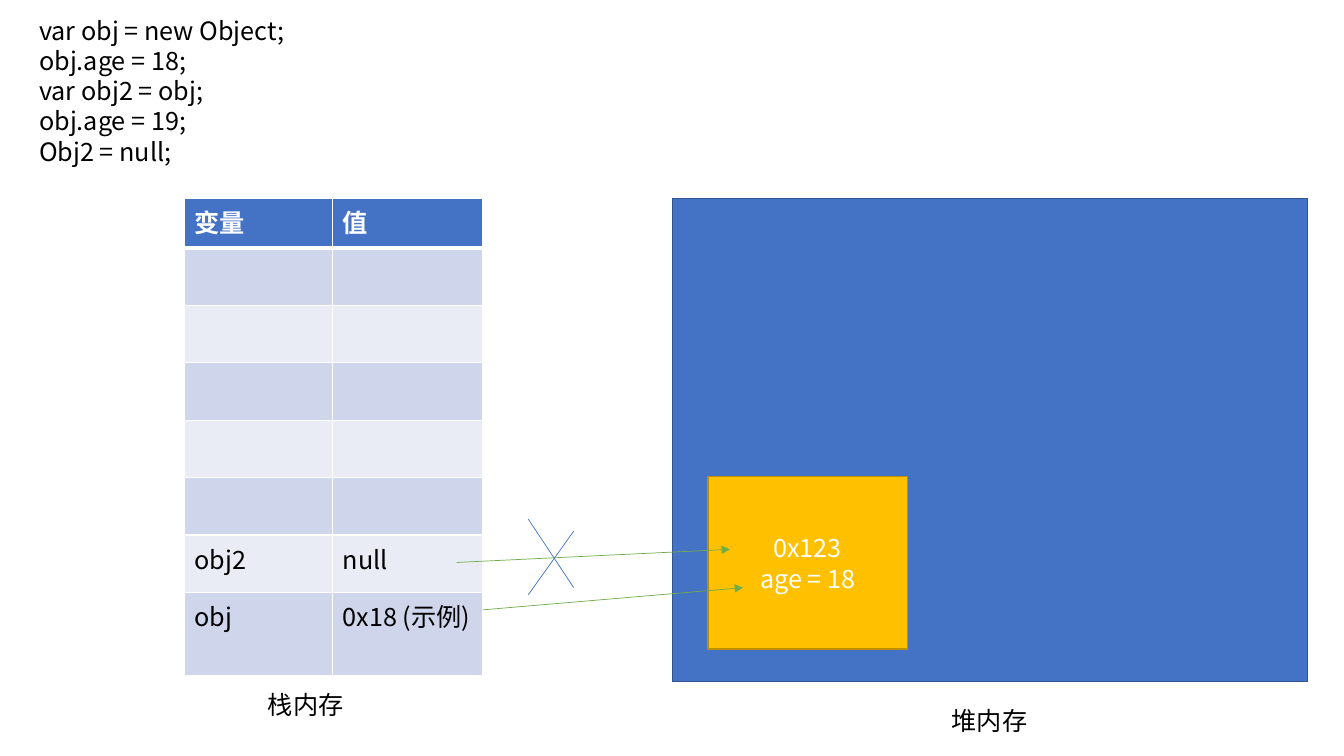
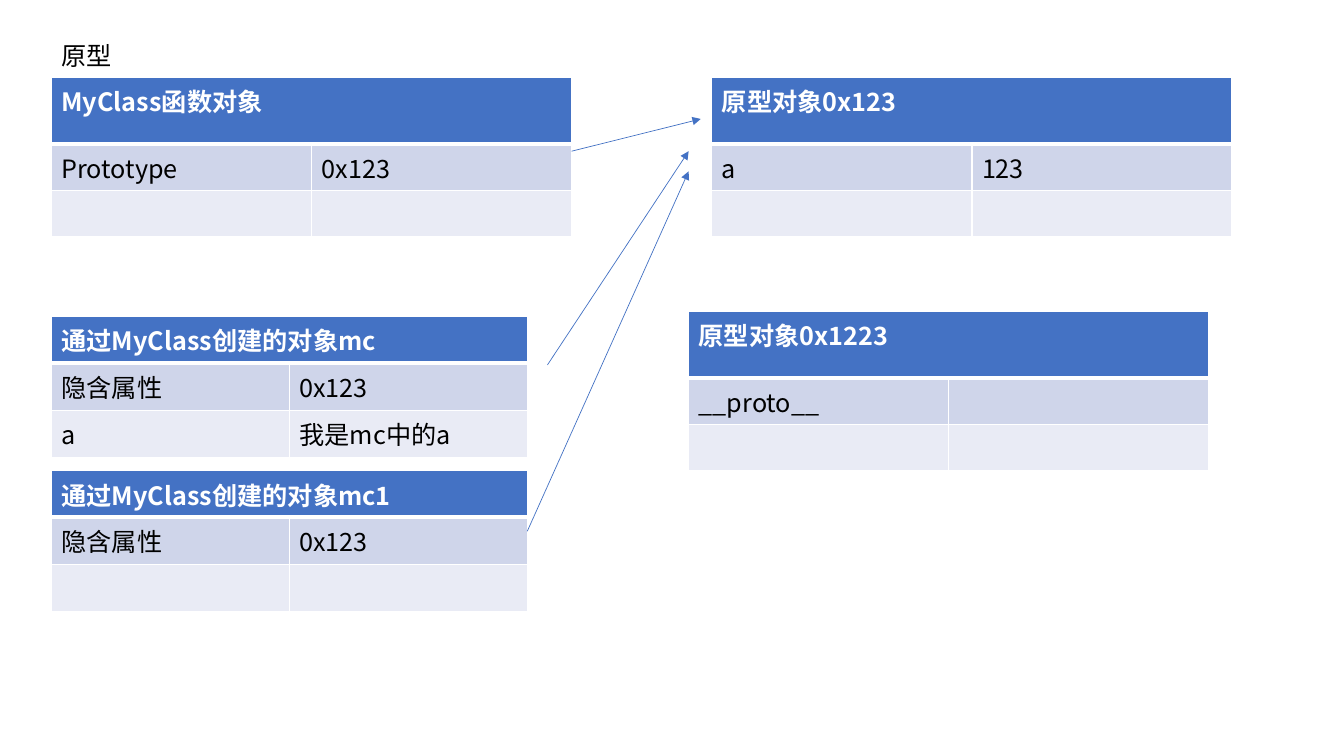
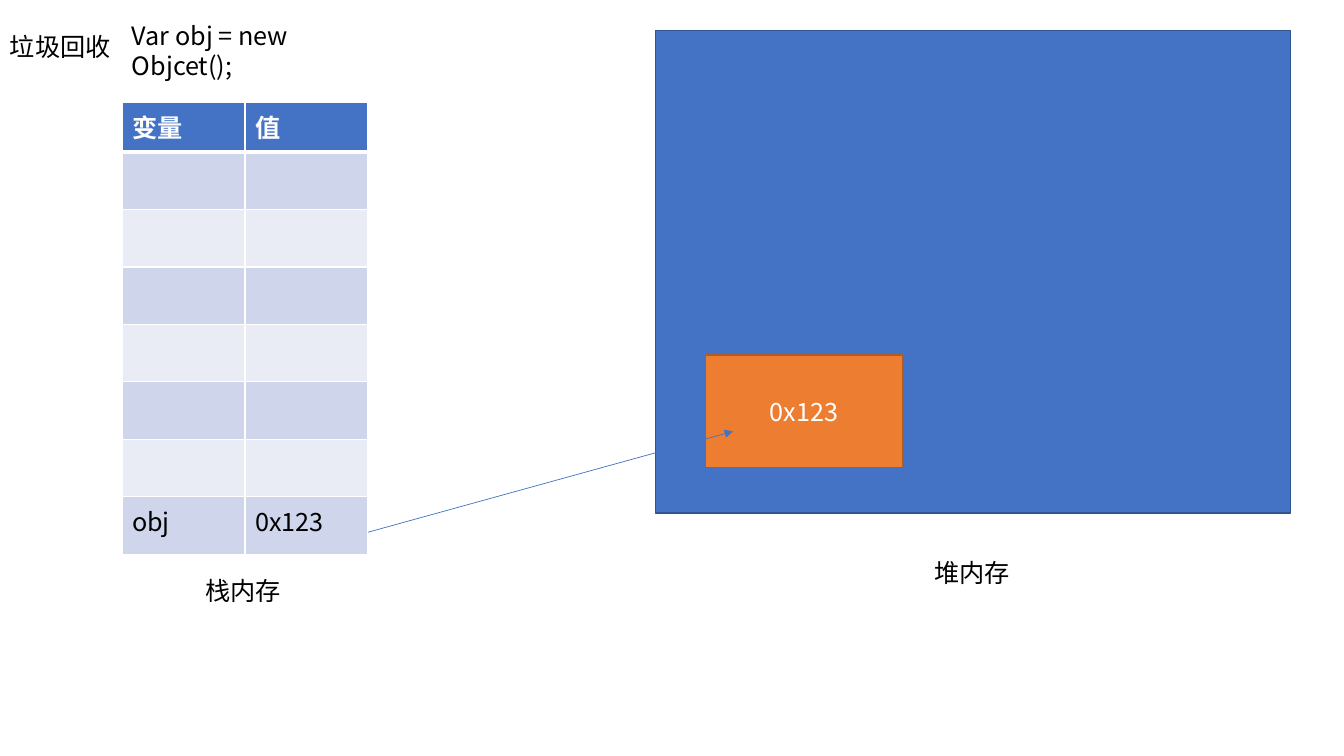
from lxml import etree
from pptx import Presentation, util as u
from pptx.dml.color import RGBColor
from pptx.enum import shapes, text
from pptx.oxml.ns import qn

PX = 9144
FONT = "Noto Sans CJK SC"
BLUE, GREEN, WHITE, BLACK = "4472C4", "70AD47", "FFFFFF", "000000"
BANDS = "CFD5EA", "E9EBF5"
CODE = u.Pt(21.6)
BODY = {"size": u.Pt(18), "name": FONT, "bold": False}
HEAD = {**BODY, "bold": True}


def px(*sizes):
    return [u.Emu(size * PX) for size in sizes]


def rgb(code):
    return RGBColor.from_string(code)


def write(frame, lines, color=BLACK, style=BODY, align=None, pitch=None):
    """Fill a text frame, one paragraph for each line."""
    for i, line in enumerate(lines):
        para = frame.add_paragraph() if i else frame.paragraphs[0]
        for key, value in {"alignment": align, "line_spacing": pitch}.items():
            setattr(para, key, value)
        run = para.add_run()
        run.text = line
        for key, value in style.items():
            setattr(run.font, key, value)
        run.font.color.rgb = rgb(color)
        etree.SubElement(run.font._element, qn("a:ea"), typeface=FONT)


def label(slide, box, lines, wrap=False, pitch=None):
    frame = slide.shapes.add_textbox(*px(*box)).text_frame
    frame.word_wrap = wrap
    write(frame, lines, pitch=pitch)


def block(slide, box, fill, edge, lines=()):
    shape = slide.shapes.add_shape(shapes.MSO_SHAPE.RECTANGLE, *px(*box))
    shape.shadow.inherit = False
    shape.fill.solid()
    shape.fill.fore_color.rgb = rgb(fill)
    shape.line.color.rgb = rgb(edge)
    shape.line.width = u.Pt(1)
    shape.text_frame.vertical_anchor = text.MSO_ANCHOR.MIDDLE
    write(shape.text_frame, lines, WHITE, align=text.PP_ALIGN.CENTER, pitch=CODE)


def link(slide, ends, color=BLUE, arrow=True):
    line = slide.shapes.add_connector(shapes.MSO_CONNECTOR.STRAIGHT, *px(*ends))
    line.line.color.rgb = rgb(color)
    line.line.width = u.Pt(0.5)
    if arrow:
        etree.SubElement(line.line._get_or_add_ln(), qn("a:tailEnd"), type="triangle")
    etree.SubElement(line._element.spPr, qn("a:effectLst"))


def rule(cell, row):
    """Draw white cell borders, thick between header and body."""
    thick = {("T", 1), ("B", 0)}
    for side in "LRTB":
        width = u.Pt(3 if (side, row) in thick else 1)
        edge = etree.SubElement(cell._tc.get_or_add_tcPr(), qn(f"a:ln{side}"), w=str(width))
        fill = etree.SubElement(edge, qn("a:solidFill"))
        etree.SubElement(fill, qn("a:srgbClr"), val=WHITE)


def grid(slide, x, y, cols, highs, rows):
    """Place a table; a header with one entry spans all columns."""
    box = px(x, y, sum(cols), sum(highs))
    table = slide.shapes.add_table(len(rows), len(cols), *box).table
    table.first_row = table.horz_banding = False
    for col, wide in zip(table.columns, px(*cols)):
        col.width = wide
    for r, (entries, high) in enumerate(zip(rows, px(*highs))):
        table.rows[r].height = high
        for c, cell in enumerate(table.rows[r].cells):
            rule(cell, r)
            cell.fill.solid()
            cell.fill.fore_color.rgb = rgb(BANDS[(r - 1) % 2] if r else BLUE)
            if c < len(entries) and entries[c]:
                write(cell.text_frame, [entries[c]], *((BLACK, BODY) if r else (WHITE, HEAD)))
    if len(rows[0]) == 1:
        table.cell(0, 0).merge(table.cell(0, len(cols) - 1))


def stack(slide, x, y, cols, items, note):
    """Place the stack table, filled from the bottom, and its caption."""
    rows = [("变量", "值")] + [()] * (7 - len(items)) + items
    grid(slide, x, y, cols, [49] + [57] * 7, rows)
    label(slide, (x + 73, y + note, 96, 40), ["栈内存"])


def heap(slide, x, y, note):
    block(slide, (x, y, 630, 479), BLUE, "325491")
    label(slide, (x + 267, y + note, 96, 40), ["堆内存"])


def record(slide, x, y, wide, head, title, *rows):
    """Place an object table with a title over two columns."""
    high = 46 if head > 60 else 47
    grid(slide, x, y, [wide // 2] * 2, [head, high, high], [(title,), *rows])


def share(slide):
    stack(slide, 183, 197, (147, 149), [("obj2", "null"), ("obj", "0x18 (示例)")], 482)
    heap(slide, 667, 197, 498)
    code = ["var obj = new Object;", "obj.age = 18;", "var obj2 = obj;",
            "obj.age = 19;", "Obj2 = null;"]
    label(slide, (29, 10, 591, 162), code, True, CODE)
    block(slide, (702, 473, 198, 171), "FFC000", "BD8E00", ["0x123", "age = 18"])
    for ends in (479, 605, 737, 583), (453, 558, 724, 545):
        link(slide, ends, GREEN)
    for ends in (569, 527, 524, 590), (524, 515, 569, 583):
        link(slide, ends, arrow=False)


def proto(slide):
    label(slide, (51, 35, 71, 40), ["原型"])
    record(slide, 51, 77, 516, 66, "MyClass函数对象", ("Prototype", "0x123"), ())
    record(slide, 706, 77, 516, 66, "原型对象0x123", ("a", "123"), ())
    record(slide, 683, 309, 516, 66, "原型对象0x1223", ("__proto__",), ())
    hidden = "隐含属性", "0x123"
    record(slide, 51, 314, 472, 46, "通过MyClass创建的对象mc", hidden, ("a", "我是mc中的a"))
    record(slide, 51, 467, 472, 46, "通过MyClass创建的对象mc1", hidden, ())
    for ends in (567, 150, 695, 118), (543, 362, 683, 150), (523, 527, 683, 170):
        link(slide, ends)


def trash(slide):
    stack(slide, 121, 102, (122, 122), [("obj", "0x123")], 464)
    heap(slide, 650, 30, 518)
    label(slide, (0, 26, 121, 40), ["垃圾回收"])
    label(slide, (121, 15, 260, 70), ["Var obj = new Objcet();"], True, CODE)
    block(slide, (700, 352, 195, 112), "ED7D31", "AF5C24", ["0x123"])
    link(slide, (365, 528, 727, 428))


def main():
    deck = Presentation()
    deck.slide_width, deck.slide_height = px(1333, 750)
    for fill in share, proto, trash:
        fill(deck.slides.add_slide(deck.slide_layouts[6]))
    deck.save("out.pptx")


if __name__ == "__main__":
    main()
